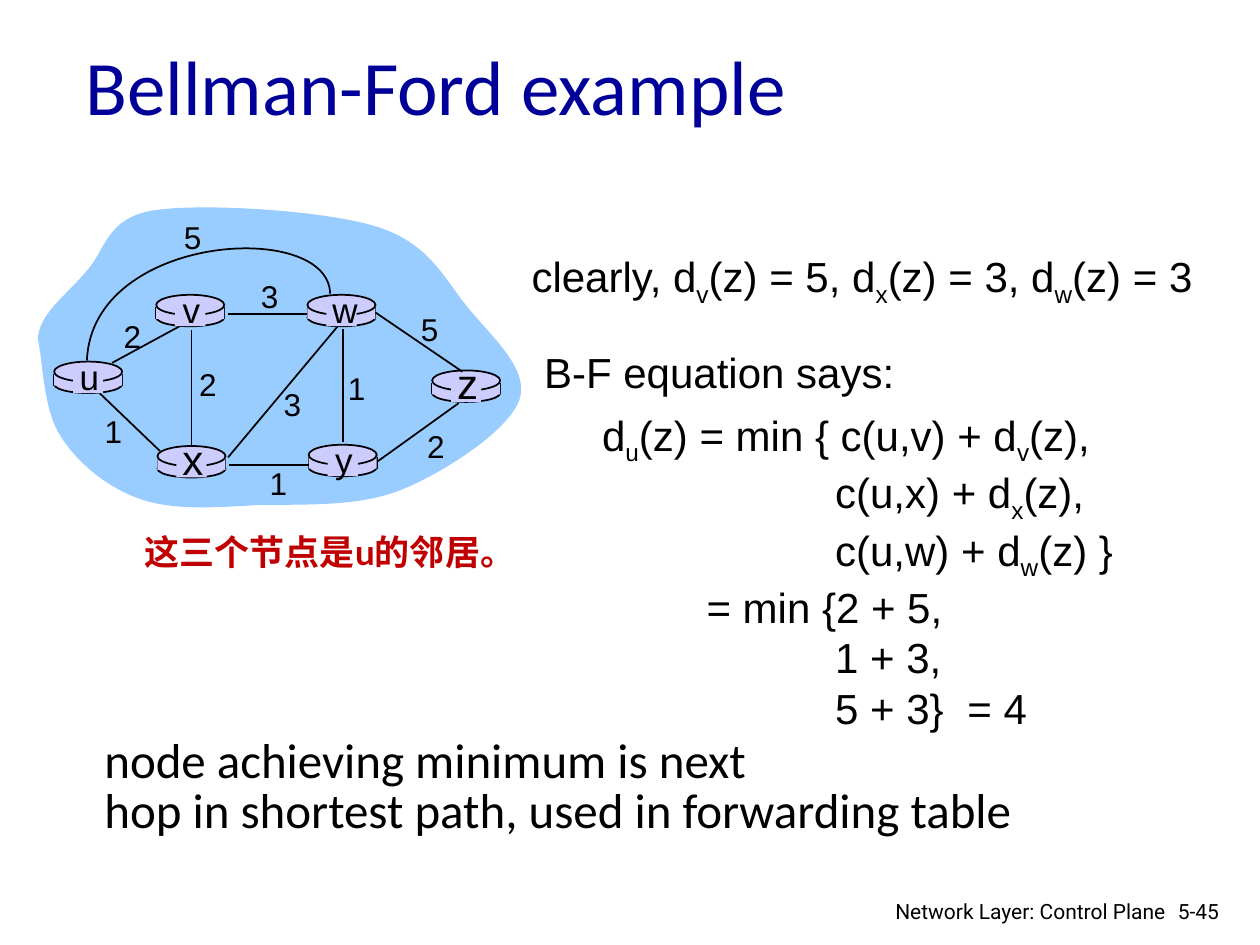
"""Build the Bellman-Ford example slide."""
from lxml import etree
from pptx import Presentation
from pptx.dml.color import RGBColor
from pptx.enum.shapes import MSO_CONNECTOR, MSO_SHAPE
from pptx.enum.text import MSO_ANCHOR, PP_ALIGN
from pptx.oxml.ns import qn
from pptx.util import Inches, Pt

RECT, OVAL, STRAIGHT = MSO_SHAPE.RECTANGLE, MSO_SHAPE.OVAL, MSO_CONNECTOR.STRAIGHT
LEFT, CENTER, RIGHT = PP_ALIGN.LEFT, PP_ALIGN.CENTER, PP_ALIGN.RIGHT
TOP, MIDDLE = MSO_ANCHOR.TOP, MSO_ANCHOR.MIDDLE

COLORS = {"title": "000099", "cloud": "99CCFF", "router": "CCCCFF",
          "ink": "000000", "note": "C00000"}

CLOUD = [(0.3, 2.69),
         (0.31, 2.49), (0.53, 2.34), (0.68, 2.16), (0.84, 1.99), (0.84, 1.73), (1.22, 1.67),
         (1.61, 1.61), (2.58, 1.67), (2.99, 1.8), (3.41, 1.93), (3.53, 2.22), (3.72, 2.45),
         (3.91, 2.68), (4.21, 2.94), (4.12, 3.18), (4.03, 3.42), (3.53, 3.75), (3.18, 3.89),
         (2.83, 4.03), (2.37, 4), (2.03, 4.01), (1.68, 4.03), (1.37, 4.05), (1.11, 3.96),
         (0.85, 3.87), (0.61, 3.67), (0.48, 3.46), (0.34, 3.25), (0.34, 2.85), (0.3, 2.69)]
LINK_UW = [(2.62, 2.33), (2.61, 1.74), (0.73, 1.85), (0.69, 2.86)]
LINK_UV = (0.89, 2.88, 1.48, 2.56)
LINKS = [(2.72, 2.61, 2.72, 3.51), (1.52, 2.62, 1.52, 3.55), (1.81, 3.63, 2.68, 2.59),
         (3, 3.66, 3.64, 3.2), (2.45, 3.69, 1.82, 3.69), (1.27, 3.58, 0.79, 3.12),
         (2.44, 2.49, 1.81, 2.49), (3.67, 2.95, 2.98, 2.48)]
ROUTERS = [("u", 0.43, 2.87, 20), ("x", 1.25, 3.54, 24), ("v", 1.24, 2.34, 20),
           ("w", 2.44, 2.34, 20), ("y", 2.45, 3.53, 20), ("z", 3.43, 2.94, 24)]
COSTS = [("2", 0.88, 2.47), ("2", 1.48, 2.85), ("1", 0.73, 3.22), ("3", 2.15, 3.01),
         ("1", 2.04, 3.63), ("1", 2.66, 2.88), ("2", 3.29, 3.34), ("5", 3.24, 2.41),
         ("3", 1.97, 2.15), ("5", 1.36, 1.68)]

TITLE = ["Bellman-Ford example"]
KNOWN = [["clearly, d", "_v", "(z) = 5, d", "_x", "(z) = 3, d", "_w", "(z) = 3"]]
EQUATION = [["d", "_u", "(z) = min { c(u,v) + d", "_v", "(z),"],
            ["\t\tc(u,x) + d", "_x", "(z),"],
            ["\t\tc(u,w) + d", "_w", "(z) }"],
            "\t= min {2 + 5,",
            "\t\t1 + 3,",
            "\t\t5 + 3}\t= 4"]
EQUATION_TABS = (0.83, 1.85, 2.9)
CONCLUSION = ["node achieving minimum is next",
              "hop in shortest path, used in forwarding table"]

prs = Presentation()
prs.slide_width, prs.slide_height = Inches(10), Inches(7.5)
shapes = prs.slides.add_slide(prs.slide_layouts[6]).shapes


def color(name):
    return RGBColor.from_string(COLORS[name])


def paint(shape, fill=None, line=None):
    shape.shadow.inherit = False
    if fill:
        shape.fill.solid()
        shape.fill.fore_color.rgb = color(fill)
    else:
        shape.fill.background()
    if line:
        shape.line.color.rgb = color(line)
        shape.line.width = Pt(1)
    else:
        shape.line.fill.background()


def add_preset(kind, x, y, w, h, line=None):
    paint(shapes.add_shape(kind, Inches(x), Inches(y), Inches(w), Inches(h)), "router", line)


def add_link(x1, y1, x2, y2):
    link = shapes.add_connector(STRAIGHT, *map(Inches, (x1, y1, x2, y2)))
    link.line.color.rgb = color("ink")
    link.line.width = Pt(1)
    etree.SubElement(link._element.spPr, qn("a:effectLst"))


def add_curve(points, fill=None, line=None):
    emu = [(Inches(x), Inches(y)) for x, y in points]
    builder = shapes.build_freeform(*emu[0])
    builder.add_line_segments(emu[1:], close=points[0] == points[-1])
    curve = builder.convert_to_shape()
    segments = list(curve._element.iter(qn("a:lnTo")))
    for first in range(0, len(points) - 1, 3):
        bezier = etree.Element(qn("a:cubicBezTo"))
        segments[first].addprevious(bezier)
        for segment in segments[first:first + 3]:
            bezier.append(segment[0])
            segment.getparent().remove(segment)
    paint(curve, fill, line)


def add_text(lines, x, y, w, h, size, font="Arial", ink="ink", align=LEFT, wrap=False,
             anchor=TOP, spacing=None, bold=False, tabs=()):
    frame = shapes.add_textbox(Inches(x), Inches(y), Inches(w), Inches(h)).text_frame
    frame.word_wrap = wrap
    frame.vertical_anchor = anchor
    for number, line in enumerate(lines):
        paragraph = frame.add_paragraph() if number else frame.paragraphs[0]
        paragraph.alignment = align
        paragraph.line_spacing = spacing
        if tabs:
            stops = etree.SubElement(paragraph._p.get_or_add_pPr(), qn("a:tabLst"))
            for tab in tabs:
                etree.SubElement(stops, qn("a:tab"), pos=str(Inches(tab)), algn="l")
        for part in [line] if isinstance(line, str) else line:
            run = paragraph.add_run()
            run.text = part.lstrip("_")
            run.font.size, run.font.name, run.font.bold = Pt(size), font, bold
            run.font.color.rgb = color(ink)
            if part.startswith("_"):
                run.font._element.set("baseline", "-25000")


def add_router(x, y):
    add_preset(OVAL, x, y + 0.11, 0.54, 0.14, "ink")
    for side in (x, x + 0.54):
        add_link(side, y + 0.1, side, y + 0.19)
    add_preset(RECT, x, y + 0.1, 0.54, 0.09)
    add_preset(OVAL, x, y, 0.54, 0.16, "ink")


def add_router_name(name, x, y, size):
    add_preset(RECT, x + 0.15, y + 0.02, 0.24, 0.23)
    rise, height = (0.1, 0.43) if size == 20 else (0.15, 0.5)
    add_text([name], x + 0.1, y - rise, 0.36, height, size, align=CENTER)


add_text(TITLE, 0.58, 0.19, 8.5, 0.96, 44, "Calibri", "title", wrap=True, anchor=MIDDLE)
add_curve(CLOUD, fill="cloud")
add_link(*LINK_UV)
for _, left, top, _ in ROUTERS:
    add_router(left, top)
for ends in LINKS:
    add_link(*ends)
add_curve(LINK_UW, line="ink")
for router in ROUTERS:
    add_router_name(*router)
for cost, left, top in COSTS:
    add_text([cost], left, top, 0.34, 0.4, 18, align=CENTER)

add_text(KNOWN, 4.12, 1.94, 5.52, 0.5, 24)
add_text(EQUATION, 4.68, 3.2, 4.27, 2.5, 24, wrap=True, tabs=EQUATION_TABS)
add_text(CONCLUSION, 0.73, 5.81, 7.4, 0.9, 28, "Calibri", spacing=0.85)
add_text(["B-F equation says:"], 4.22, 2.7, 2.98, 0.5, 24)
add_text(["5-45"], 9.25, 7.08, 0.6, 0.3, 12, "Roboto", wrap=True)
add_text(["Network Layer: Control Plane"], 6.97, 7.08, 2.38, 0.26, 12, "Roboto",
         align=RIGHT, wrap=True)
add_text(["这三个节点是u的邻居。"], 1.05, 4.16, 3.31, 0.44, 20, "Lato", "note",
         wrap=True, bold=True)

prs.save("out.pptx")
